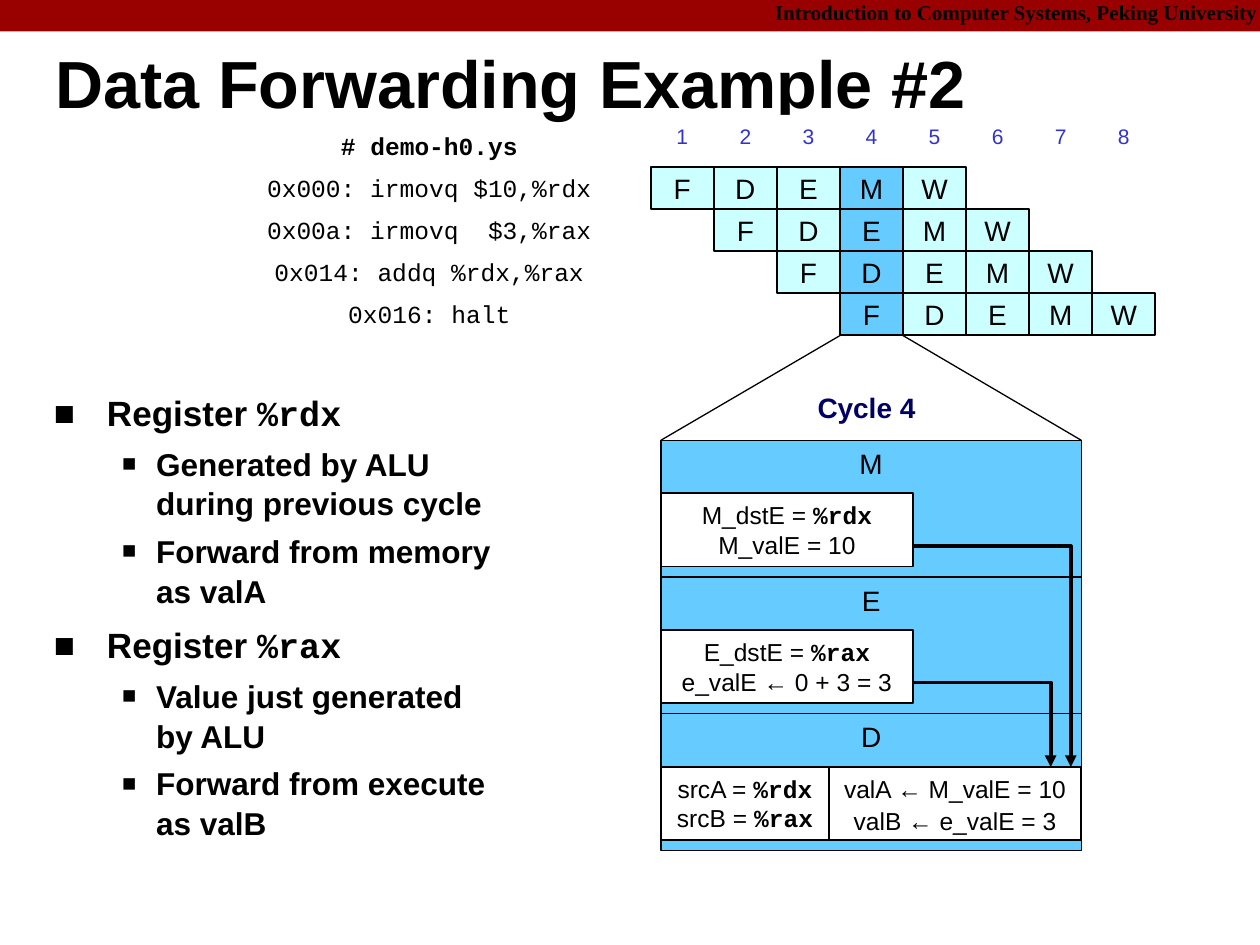
from lxml.etree import SubElement
from pptx import Presentation
from pptx.dml.color import RGBColor
from pptx.enum.shapes import MSO_CONNECTOR, MSO_SHAPE
from pptx.enum.text import MSO_ANCHOR, PP_ALIGN
from pptx.oxml.ns import qn
from pptx.util import Inches, Pt

BLACK, WHITE, PALE, BLUE = "000000", "FFFFFF", "CCFFFF", "66CCFF"
COLUMN, ROW = 0.5, 1 / 3
GRID_LEFT, GRID_TOP = 5.16, 0.99
PANEL_LEFT, PANEL_TOP, PANEL_WIDTH, PANEL_HEIGHT = 5.24, 3.49, 10 / 3, 13 / 12

deck = Presentation()
deck.slide_width, deck.slide_height = Inches(9.99), Inches(7.49)
page = deck.slides.add_slide(deck.slide_layouts[6])


def write(frame, lines, size, font="Arial", color=BLACK, bold=False,
          align=PP_ALIGN.CENTER, spacing=None):
    """Fill a text frame; in Arial text, a register name (%...) is bold Courier New."""
    for index, line in enumerate(lines):
        para = frame.paragraphs[0] if index == 0 else frame.add_paragraph()
        para.alignment = align
        para.line_spacing = spacing
        label, percent, register = line.partition("%") if font == "Arial" else (line, "", "")
        para.text = label
        if percent:
            para.add_run().text = percent + register
        for span in para.runs:
            is_register = span.text.startswith("%")
            span.font.name = "Courier New" if is_register else font
            span.font.bold = bold or is_register
            span.font.size = Pt(size)
            span.font.color.rgb = RGBColor.from_string(color)


def add_box(left, top, width, height, fill, line=None, anchor=MSO_ANCHOR.MIDDLE):
    """Add a rectangle, outlined when a line width is given, and return its text frame."""
    box = page.shapes.add_shape(MSO_SHAPE.RECTANGLE, Inches(left), Inches(top),
                                Inches(width), Inches(height))
    box.shadow.inherit = False
    box.fill.solid()
    box.fill.fore_color.rgb = RGBColor.from_string(fill)
    if line:
        box.line.width = Pt(line)
        box.line.color.rgb = RGBColor.from_string(BLACK)
    else:
        box.line.fill.background()
    box.text_frame.word_wrap = False
    box.text_frame.vertical_anchor = anchor
    return box.text_frame


# Header and title
add_box(0, 0, 10, 0.25, "990000")
header = page.shapes.add_textbox(Inches(6), Inches(-0.03), Inches(4.07), Inches(0.28)).text_frame
header.word_wrap = True
write(header, ["Introduction to Computer Systems, Peking University"], 12,
      "Times New Roman", bold=True, align=PP_ALIGN.RIGHT, spacing=0.9)

title = page.shapes.add_textbox(Inches(0.44), Inches(0.27), Inches(9.52), Inches(0.85)).text_frame
title.word_wrap = True
title.vertical_anchor = MSO_ANCHOR.MIDDLE
title.margin_left = title.margin_right = title.margin_top = title.margin_bottom = 0
write(title, ["Data Forwarding Example #2"], 38, bold=True, align=PP_ALIGN.LEFT, spacing=0.87)

# Bulleted explanation: (level, text)
points = [
    (0, "Register %rdx"),
    (1, "Generated by ALU during previous cycle"),
    (1, "Forward from memory as valA"),
    (0, "Register %rax"),
    (1, "Value just generated by ALU"),
    (1, "Forward from execute as valB"),
]
# Per level: text size, line spacing, space before, left margin, hanging indent, bullet size
level_styles = [(20, 0.95, 10, 0.42, 0.42, 100), (18, 1.05, 4.5, 0.81, 0.27, 75)]
body = page.shapes.add_textbox(Inches(0.33), Inches(3.08), Inches(3.77), Inches(3.7)).text_frame
body.word_wrap = True
write(body, [text for level, text in points], 20, bold=True, align=PP_ALIGN.LEFT)
for index, (level, text) in enumerate(points):
    size, spacing, before, margin, hanging, bullet_size = level_styles[level]
    para = body.paragraphs[index]
    para.level = level
    para.line_spacing = spacing
    para.space_before = Pt(before if index else 0)
    properties = para._p.get_or_add_pPr()
    properties.set("marL", str(Inches(margin)))
    properties.set("indent", str(-Inches(hanging)))
    SubElement(properties, qn("a:buSzPct"), val=str(bullet_size * 1000))
    SubElement(properties, qn("a:buFont"), typeface="Arial")
    SubElement(properties, qn("a:buChar"), char="■")
    for span in para.runs:
        span.font.size = Pt(size)

# Program listing and pipeline diagram
program = [
    "# demo-h0.ys",
    "0x000: irmovq $10,%rdx",
    "0x00a: irmovq  $3,%rax",
    "0x014: addq %rdx,%rax",
    "0x016: halt",
]
for row, code in enumerate(program):
    frame = add_box(1.99, GRID_TOP + row * ROW, 2.83, ROW, WHITE)
    write(frame, [code], 14, "Courier New", bold=row == 0)

for cycle in range(8):
    frame = add_box(GRID_LEFT + cycle * COLUMN, 0.91, COLUMN, ROW, WHITE)
    write(frame, [str(cycle + 1)], 12, color="3333CC")

for row in range(4):
    for step, stage in enumerate("FDEMW"):
        cycle = row + step
        frame = add_box(GRID_LEFT + cycle * COLUMN, GRID_TOP + (row + 1) * ROW, COLUMN, ROW,
                        BLUE if cycle == 3 else PALE, 1)
        write(frame, [stage], 16)

# Zoom lines from the cycle 4 column to the detail panels
for start, end in [(6.66, PANEL_LEFT), (7.16, PANEL_LEFT + PANEL_WIDTH)]:
    zoom = page.shapes.add_connector(MSO_CONNECTOR.STRAIGHT, Inches(start), Inches(2.66),
                                     Inches(end), Inches(PANEL_TOP))
    zoom.line.width = Pt(0.75)
    zoom.line.color.rgb = RGBColor.from_string(BLACK)
    SubElement(zoom._element.spPr, qn("a:effectLst"))

caption = page.shapes.add_textbox(Inches(5.83), Inches(3.08), Inches(2.08), Inches(0.37)).text_frame
caption.word_wrap = True
write(caption, ["Cycle 4"], 16, color="000066", bold=True, spacing=0.9)

# Detail panels, each with boxes of (left offset, width, line spacing, lines)
panels = [
    ("M", [(0, 2, None, ["M_dstE = %rdx", "M_valE = 10"])]),
    ("E", [(0, 2, None, ["E_dstE = %rax", "e_valE ← 0 + 3 = 3"])]),
    ("D", [(4 / 3, 2, 1.1, ["valA ← M_valE = 10", "valB ← e_valE = 3"]),
           (0, 4 / 3, None, ["srcA = %rdx", "srcB = %rax"])]),
]
for index, (stage, details) in enumerate(panels):
    top = PANEL_TOP + index * PANEL_HEIGHT
    frame = add_box(PANEL_LEFT, top, PANEL_WIDTH, PANEL_HEIGHT, BLUE, 0.75, MSO_ANCHOR.TOP)
    write(frame, [stage], 16)
    for offset, width, spacing, lines in details:
        frame = add_box(PANEL_LEFT + offset, top + 0.42, width, 0.58, WHITE, 1)
        write(frame, lines, 14, spacing=spacing)

# Forwarding arrows into the decode stage
for top, right in [(4.33, 8.49), (5.41, 8.33)]:
    builder = page.shapes.build_freeform(Inches(7.24), Inches(top))
    builder.add_line_segments([(Inches(right), Inches(top)), (Inches(right), Inches(6.08))],
                              close=False)
    arrow = builder.convert_to_shape()
    arrow.shadow.inherit = False
    arrow.fill.background()
    arrow.line.width = Pt(2.25)
    arrow.line.color.rgb = RGBColor.from_string(BLACK)
    SubElement(arrow.line._get_or_add_ln(), qn("a:tailEnd"), type="triangle")

deck.save("out.pptx")
